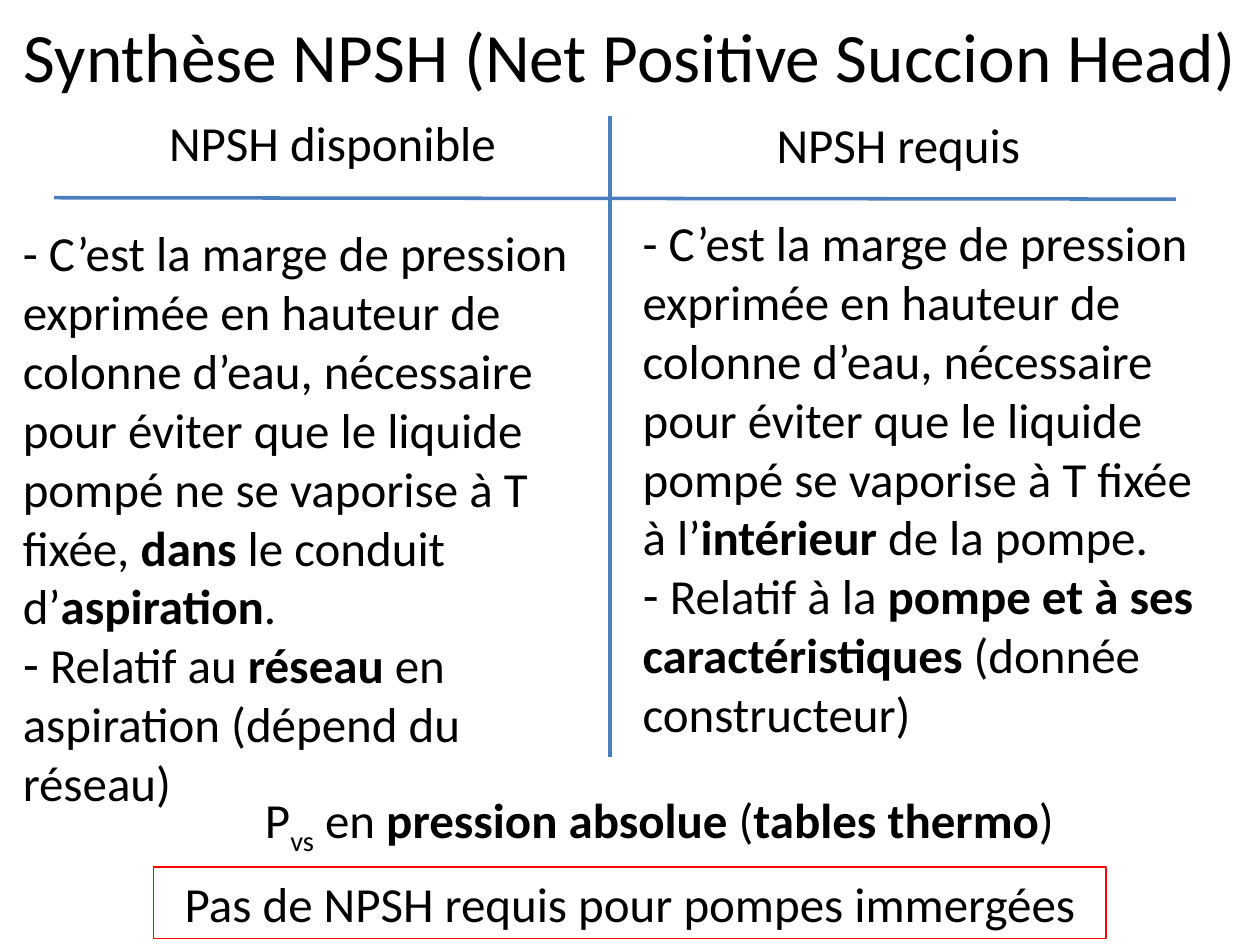
import pptx
import pptx.util
import pptx.dml.color
import pptx.enum.shapes
import pptx.enum.text
import pptx.oxml.ns
from lxml import etree

Pt = pptx.util.Pt
RGB = pptx.dml.color.RGBColor
ALIGN = pptx.enum.text.PP_ALIGN
ANCHOR = pptx.enum.text.MSO_ANCHOR
BLACK, BLUE, RED = RGB(0, 0, 0), RGB(0x4B, 0x7E, 0xBC), RGB(0xFF, 0, 0)
PLAIN, BOLD, SUB = "plain", "bold", "sub"

# Content: a paragraph is a list of (text, style) runs
TITLE = [("Synthèse NPSH (Net Positive Succion Head)", PLAIN)]
MARGIN = "- C’est la marge de pression exprimée en hauteur de colonne d’eau, nécessaire pour éviter que le liquide pompé "
COLUMNS = [
    {"head": "NPSH disponible", "head_box": (65.5, 60.5, 249, 41),
     "body_box": (5.8, 123.8, 354, 346),
     "body": [
         [(MARGIN + "ne se vaporise à T fixée, ", PLAIN), ("dans", BOLD),
          (" le conduit d’", PLAIN), ("aspiration", BOLD), (".", PLAIN)],
         [(" Relatif au ", PLAIN), ("réseau", BOLD),
          (" en aspiration (dépend du réseau)", PLAIN)]]},
    {"head": "NPSH requis", "head_box": (377.3, 62, 272, 41),
     "body_box": (360, 118, 332, 346),
     "body": [
         [(MARGIN + "se vaporise à T fixée à l’", PLAIN),
          ("intérieur", BOLD), (" de la pompe.", PLAIN)],
         [(" Relatif à la ", PLAIN), ("pompe et à ses caractéristiques ", BOLD),
          ("(donnée constructeur)", PLAIN)]]},
]
PRESSURE = [("P", PLAIN), ("vs", SUB), (" en ", PLAIN), ("pression absolue ", BOLD),
            ("(", PLAIN), ("tables thermo", BOLD), (")", PLAIN)]
NOTE = [("Pas de NPSH requis pour pompes immergées", PLAIN)]
AXES = [(348.5, 66.2, 348.5, 432.7), (31, 113, 672, 113.8)]


def set_bullet(p, char=None):
    pPr = p._p.get_or_add_pPr()
    pPr.set("marL", "0")
    pPr.set("indent", "0")
    bullet = etree.SubElement(pPr, pptx.oxml.ns.qn("a:buChar" if char else "a:buNone"))
    if char:
        bullet.set("char", char)


def place(sp, box):
    for name, value in zip(("left", "top", "width", "height"), box):
        setattr(sp, name, Pt(value))


def write(sp, paragraphs, size=28, align=ALIGN.CENTER, anchor=ANCHOR.TOP, bullets=None):
    tf = sp.text_frame
    frame = {"word_wrap": True, "auto_size": pptx.enum.text.MSO_AUTO_SIZE.NONE,
             "vertical_anchor": anchor}
    for name, value in frame.items():
        setattr(tf, name, value)
    for i, runs in enumerate(paragraphs):
        p = tf.paragraphs[0] if i == 0 else tf.add_paragraph()
        if bullets:
            set_bullet(p, bullets[i])
        p.alignment = align
        p.space_before = Pt(0)
        for text, style in runs:
            r = p.add_run()
            r.text = text
            font = {"name": "Calibri", "size": Pt(size), "bold": style == BOLD}
            for name, value in font.items():
                setattr(r.font, name, value)
            r.font.color.rgb = BLACK
            if style == SUB:
                r._r.get_or_add_rPr().set("baseline", "-25000")


def add_text(s, box, runs):
    sp = s.shapes.add_textbox(*map(Pt, box))
    write(sp, [runs])


def main():
    prs = pptx.Presentation()
    prs.slide_width, prs.slide_height = Pt(720), Pt(540)
    s = prs.slides.add_slide(prs.slide_layouts[3])  # title and two contents

    # Title
    place(s.shapes.title, (0, -13.7, 720, 90))
    write(s.shapes.title, [TITLE], size=39.6, anchor=ANCHOR.MIDDLE)

    # Dividing lines
    for ends in AXES:
        line = s.shapes.add_connector(pptx.enum.shapes.MSO_CONNECTOR.STRAIGHT, *map(Pt, ends))
        line.line.color.rgb = BLUE
        line.line.width = Pt(2)
        etree.SubElement(line._element.spPr, pptx.oxml.ns.qn("a:effectLst"))

    # Two compared columns
    for idx, column in enumerate(COLUMNS, start=1):
        add_text(s, column["head_box"], [(column["head"], PLAIN)])
        body = s.placeholders[idx]
        place(body, column["body_box"])
        write(body, column["body"], align=ALIGN.LEFT, bullets=(None, "-"))

    # Closing remarks
    add_text(s, (130.3, 447.8, 493, 41), PRESSURE)
    note = s.shapes.add_shape(pptx.enum.shapes.MSO_SHAPE.RECTANGLE,
                              *map(Pt, (87.8, 495.4, 544.3, 41)))
    note.shadow.inherit = False
    note.fill.background()
    note.line.color.rgb = RED
    note.line.width = Pt(1)
    write(note, [NOTE])

    prs.save("out.pptx")


if __name__ == "__main__":
    main()
